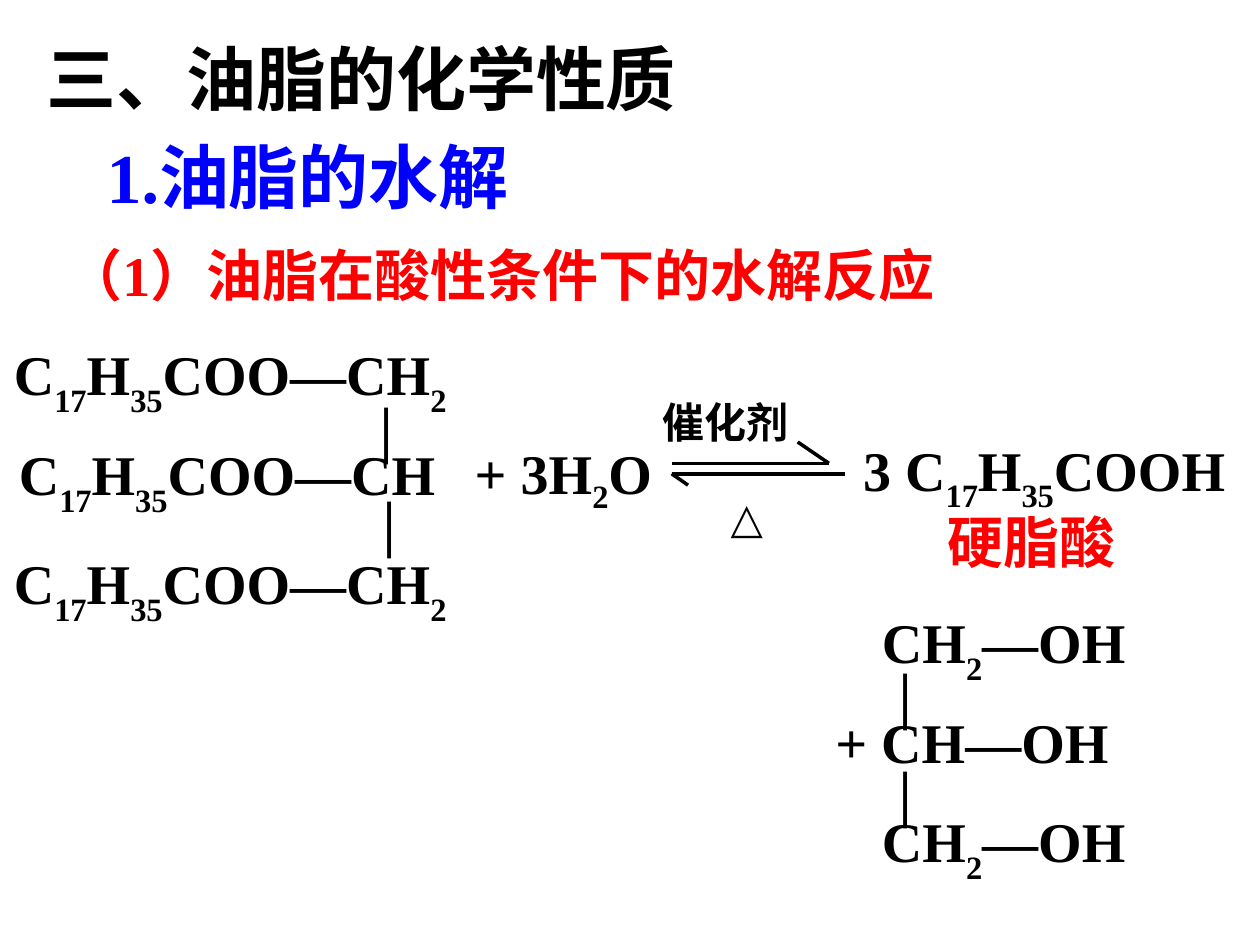
from lxml.etree import SubElement
from pptx import Presentation
from pptx.dml.color import RGBColor
from pptx.enum.shapes import MSO_CONNECTOR
from pptx.enum.text import PP_ALIGN
from pptx.oxml.ns import qn
from pptx.util import Cm, Pt

COLORS = {"black": "000000", "blue": "0000FF", "red": "FF0000"}
LATIN_FONT = "Times New Roman"
CHINESE_FONT = "Noto Sans CJK SC"
ESTER = "C_17_H_35_COO—CH"


def add_text(slide, box, text, size=32, color="black", font=LATIN_FONT,
             align=PP_ALIGN.LEFT, vertical=False, subscript=-30):
    """Add a bold line of text in which underscores enclose subscripts."""
    shape = slide.shapes.add_textbox(*(Cm(length) for length in box))
    frame = shape.text_frame
    frame.word_wrap = True
    margins = (0.13, 0.25) if vertical else (0.25, 0.13)
    frame.margin_left = frame.margin_right = Cm(margins[0])
    frame.margin_top = frame.margin_bottom = Cm(margins[1])
    if vertical:
        frame._txBody.bodyPr.set("vert", "eaVert")
    paragraph = frame.paragraphs[0]
    paragraph.alignment = align
    for index, part in enumerate(text.split("_")):
        if not part:
            continue
        run = paragraph.add_run()
        run.text = part
        run.font.size = Pt(size)
        run.font.bold = True
        run.font.name = font
        run.font.color.rgb = RGBColor.from_string(COLORS[color])
        properties = run._r.get_or_add_rPr()
        SubElement(properties, qn("a:ea")).set("typeface", CHINESE_FONT)
        if index % 2:
            properties.set("baseline", str(subscript * 1000))


def add_line(slide, start, end):
    """Add a plain black line between two points."""
    line = slide.shapes.add_connector(
        MSO_CONNECTOR.STRAIGHT, *(Cm(length) for length in start + end))
    line.line.width = Pt(2)
    line.line.color.rgb = RGBColor.from_string(COLORS["black"])
    SubElement(line._element.spPr, qn("a:effectLst"))


def add_headings(slide, left, top):
    """Place the three levels of heading."""
    add_text(slide, (left, top, 18.85, 1.96), "三、油脂的化学性质", 40)
    add_text(slide, (left + 1.21, top + 1.98, 18.85, 1.96), "1.油脂的水解", 40, "blue")
    add_text(slide, (left + 0.4, top + 4.14, 22.81, 1.63),
             "（1）油脂在酸性条件下的水解反应", color="red")


def add_molecule(slide, left, top, rows, bonds):
    """Place the rows of a molecule and the vertical bonds joining them."""
    for x, y, width, formula in rows:
        add_text(slide, (left + x, top + y, width, 1.85), formula)
    for x, y, height in bonds:
        add_text(slide, (left + x, top + y, 1.85, height), "—", vertical=True)


def add_reversible_arrow(slide, left, top):
    """Place the reversible reaction arrow with its conditions."""
    add_text(slide, (left + 0.2, top, 3.81, 1.27), "催化剂", 24)
    strokes = [
        ((0.64, 1.47), (3.81, 1.47)),
        ((3.18, 1.04), (3.81, 1.47)),
        ((0.64, 1.68), (4.14, 1.68)),
        ((0.64, 1.68), (0.97, 1.91)),
    ]
    for start, end in strokes:
        add_line(slide, (left + start[0], top + start[1]),
                 (left + end[0], top + end[1]))
    add_text(slide, (left + 0.1, top + 1.91, 4.11, 1.27), "△", 24,
             align=PP_ALIGN.CENTER)


def add_stearic_acid(slide, left, top):
    """Place the acid product and its name."""
    add_text(slide, (left, top, 8.2, 1.85), "3 C_17_H_35_COOH")
    add_text(slide, (left + 1.7, top + 1.47, 4.24, 1.63), "硬脂酸",
             color="red", font=CHINESE_FONT)


def main():
    """Build and save the slide."""
    presentation = Presentation()
    presentation.slide_width = Cm(25.4)
    presentation.slide_height = Cm(19.05)
    slide = presentation.slides.add_slide(presentation.slide_layouts[6])
    add_headings(slide, 0.69, 0.58)
    add_molecule(
        slide, 0.03, 6.71,
        [(0, 0, 10.06, ESTER + "_2"), (0.1, 2.03, 9.09, ESTER),
         (0, 4.22, 11.28, ESTER + "_2")],
        [(6.91, 1.27, 1.07), (6.96, 3.18, 1.07)])
    add_text(slide, (9.32, 8.71, 4.45, 1.8), "+ 3H_2_O", subscript=-25)
    add_reversible_arrow(slide, 12.9, 7.87)
    add_stearic_acid(slide, 17.15, 8.64)
    add_molecule(
        slide, 16.59, 12.12,
        [(0.94, 0, 6.78, "CH_2_—OH"), (0, 2.01, 6.99, "+ CH—OH"),
         (0.94, 4.01, 6.78, "CH_2_—OH")],
        [(0.81, 1.22, 0.99), (0.81, 3.2, 0.84)])
    presentation.save("out.pptx")


if __name__ == "__main__":
    main()
